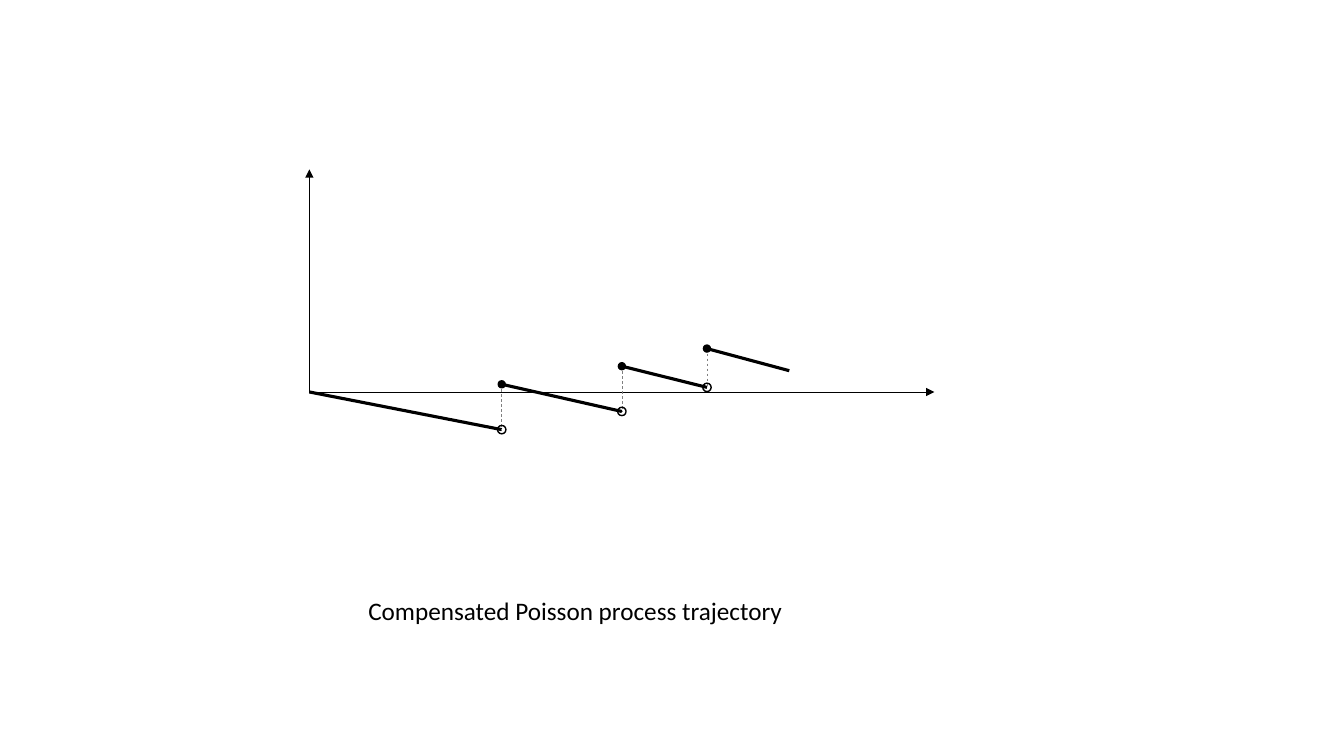
from lxml import etree
from pptx import Presentation
from pptx.dml.color import RGBColor
from pptx.enum.dml import MSO_LINE
from pptx.enum.shapes import MSO_CONNECTOR, MSO_SHAPE
from pptx.enum.text import MSO_AUTO_SIZE
from pptx.oxml.ns import qn
from pptx.util import Pt

STRAIGHT = MSO_CONNECTOR.STRAIGHT
OVAL = MSO_SHAPE.OVAL
DASH = MSO_LINE.DASH
FIT_TEXT = MSO_AUTO_SIZE.SHAPE_TO_FIT_TEXT


def colour(hex_code):
    return RGBColor.from_string(hex_code)


class Diagram:
    font = "Calibri"
    ink = "000000"
    guide = "808080"
    thin = 0.5
    thick = 2.25
    dot = 6

    def __init__(self, slide):
        self.slide = slide
        self.plot = slide.shapes.add_group_shape()

    def line(self, start, end, width, hex_code):
        ends = [Pt(value) for value in (*start, *end)]
        connector = self.plot.shapes.add_connector(STRAIGHT, *ends)
        connector.line.width = Pt(width)
        connector.line.color.rgb = colour(hex_code)
        etree.SubElement(connector.element.spPr, qn("a:effectLst"))
        return connector.line

    def axis(self, start, end):
        stroke = self.line(start, end, self.thin, self.ink)
        etree.SubElement(stroke._get_or_add_ln(), qn("a:tailEnd"), type="triangle")

    def drift(self, start, end):
        self.line(start, end, self.thick, self.ink)

    def jump(self, start, end):
        self.line(start, end, self.thin, self.guide).dash_style = DASH

    def marker(self, centre, filled):
        left, top = (value - self.dot / 2 for value in centre)
        circle = self.plot.shapes.add_shape(
            OVAL, Pt(left), Pt(top), Pt(self.dot), Pt(self.dot))
        circle.shadow.inherit = False
        if filled:
            circle.fill.solid()
            circle.fill.fore_color.rgb = colour(self.ink)
            circle.line.fill.background()
        else:
            circle.fill.background()
            circle.line.color.rgb = colour(self.ink)
            circle.line.width = Pt(1)

    def caption(self, text, left, top, width, height):
        box = self.slide.shapes.add_textbox(Pt(left), Pt(top), Pt(width), Pt(height))
        frame = box.text_frame
        frame.word_wrap = False
        frame.auto_size = FIT_TEXT
        paragraph = frame.paragraphs[0]
        paragraph.text = text
        paragraph.font.name = self.font
        paragraph.font.size = Pt(18)
        paragraph.font.color.rgb = colour(self.ink)


def main():
    presentation = Presentation()
    presentation.slide_width = Pt(960)
    presentation.slide_height = Pt(540)
    blank = presentation.slide_layouts[6]
    diagram = Diagram(presentation.slides.add_slide(blank))

    origin = (221, 280)
    before_jumps = [(358.4, 306.9), (444.2, 293.9), (505, 276.7)]
    after_jumps = [(358.4, 274.5), (444.2, 261.6), (505, 249)]
    horizon = (563.8, 264.8)

    diagram.axis(origin, (221, 121))
    diagram.axis(origin, (667.4, 280))
    for start, end in zip([origin, *after_jumps], [*before_jumps, horizon]):
        diagram.drift(start, end)
    for top, bottom in zip(after_jumps, before_jumps):
        diagram.jump(top, bottom)
    for points, filled in ((after_jumps, True), (before_jumps, False)):
        for point in points:
            diagram.marker(point, filled)

    diagram.caption("Compensated Poisson process trajectory", 256, 422, 313, 29)
    presentation.save("out.pptx")


if __name__ == "__main__":
    main()
